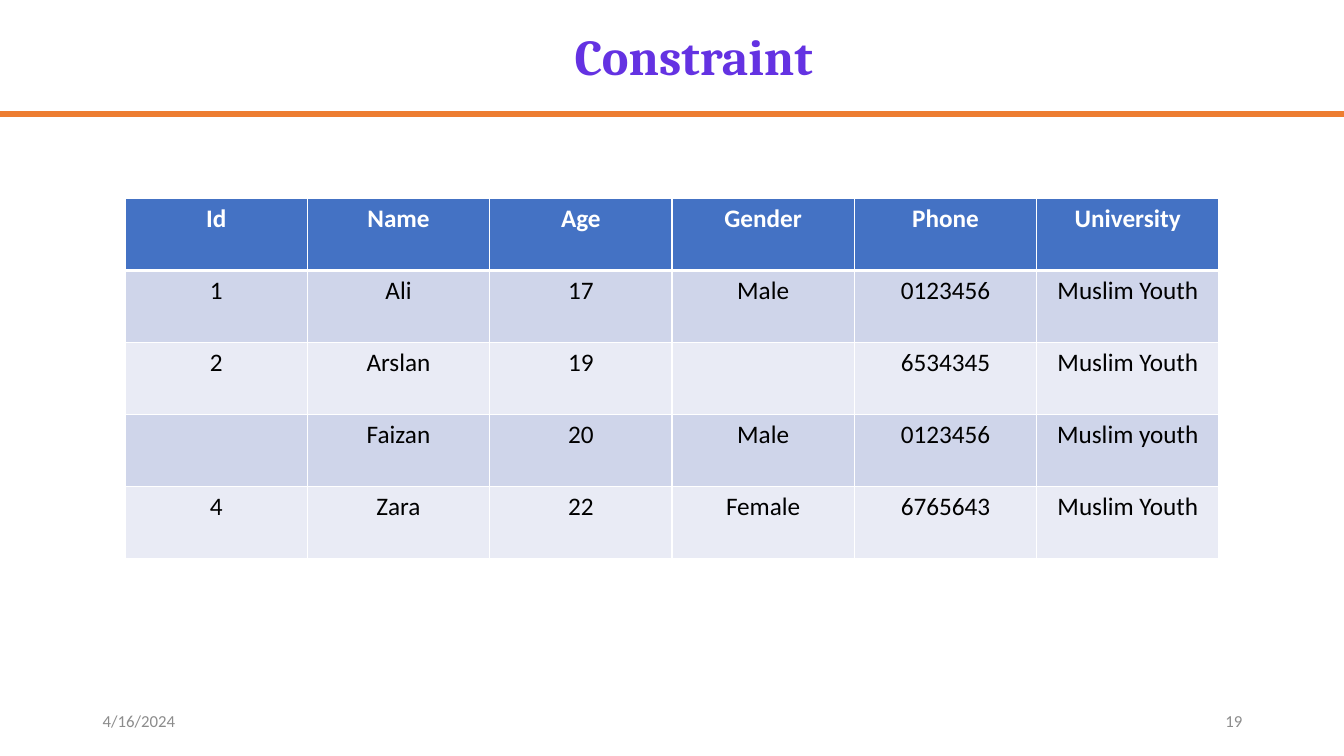
from lxml import etree
from pptx import Presentation
from pptx.dml.color import RGBColor
from pptx.enum.shapes import MSO_CONNECTOR
from pptx.enum.text import MSO_ANCHOR, PP_ALIGN
from pptx.oxml.ns import qn
from pptx.util import Inches, Pt

LEFT, CENTER, RIGHT = PP_ALIGN.LEFT, PP_ALIGN.CENTER, PP_ALIGN.RIGHT
MIDDLE = MSO_ANCHOR.MIDDLE
STRAIGHT = MSO_CONNECTOR.STRAIGHT
WHITE, BLACK, GRAY = "FFFFFF", "000000", "8C8C8C"
HEADER, BANDS = "4472C4", ("E9EBF5", "CFD5EA")


def rgb(value):
    return RGBColor.from_string(value)


def write(tf, text, size=18, font="Calibri", color=BLACK, bold=False, align=CENTER, spacing=1.0):
    p = tf.paragraphs[0]
    p.alignment = align
    p.line_spacing = spacing
    r = p.add_run()
    r.text = text
    r.font.size = Pt(size)
    r.font.name = font
    r.font.bold = bold
    r.font.color.rgb = rgb(color)


prs = Presentation()
prs.slide_width, prs.slide_height = Inches(13.33), Inches(7.5)
s = prs.slides.add_slide(prs.slide_layouts[6])

rule_y = Inches(1.13)
rule = s.shapes.add_connector(STRAIGHT, 0, rule_y, prs.slide_width, rule_y)
rule.line.color.rgb = rgb("ED7D31")
rule.line.width = Pt(4.5)
etree.SubElement(rule._element.spPr, qn("a:effectLst"))

labels = [
    ("4/16/2024", (0.92, 6.95, 3, 0.4), dict(size=12, color=GRAY, align=LEFT)),
    ("19", (9.42, 6.95, 3, 0.4), dict(size=12, color=GRAY, align=RIGHT)),
    ("Constraint", (1.13, 0.15, 11.5, 0.88),
     dict(size=36, font="Cambria", color="6432E2", bold=True, spacing=0.9)),
]
for text, box, style in labels:
    tf = s.shapes.add_textbox(*map(Inches, box)).text_frame
    tf.word_wrap = True
    tf.vertical_anchor = MIDDLE
    write(tf, text, **style)

rows = [
    ("Id", "Name", "Age", "Gender", "Phone", "University"),
    ("1", "Ali", "17", "Male", "0123456", "Muslim Youth"),
    ("2", "Arslan", "19", "", "6534345", "Muslim Youth"),
    ("", "Faizan", "20", "Male", "0123456", "Muslim youth"),
    ("4", "Zara", "22", "Female", "6765643", "Muslim Youth"),
]
table = s.shapes.add_table(len(rows), len(rows[0]), Inches(1.24), Inches(1.97),
                           Inches(10.85), Inches(3.57)).table
for i, row in enumerate(rows):
    head = i == 0
    for j, text in enumerate(row):
        cell = table.cell(i, j)
        if text:
            write(cell.text_frame, text, color=WHITE if head else BLACK, bold=head)
        tcPr = cell._tc.get_or_add_tcPr()
        for side in ("lnL", "lnR", "lnT", "lnB"):
            thick = (head and side == "lnB") or (i == 1 and side == "lnT")
            ln = etree.SubElement(tcPr, qn(f"a:{side}"), w=str(Pt(3 if thick else 1)))
            fill = etree.SubElement(ln, qn("a:solidFill"))
            etree.SubElement(fill, qn("a:srgbClr"), val=WHITE)
        cell.fill.solid()
        cell.fill.fore_color.rgb = rgb(HEADER if head else BANDS[i % 2])

prs.save("out.pptx")
